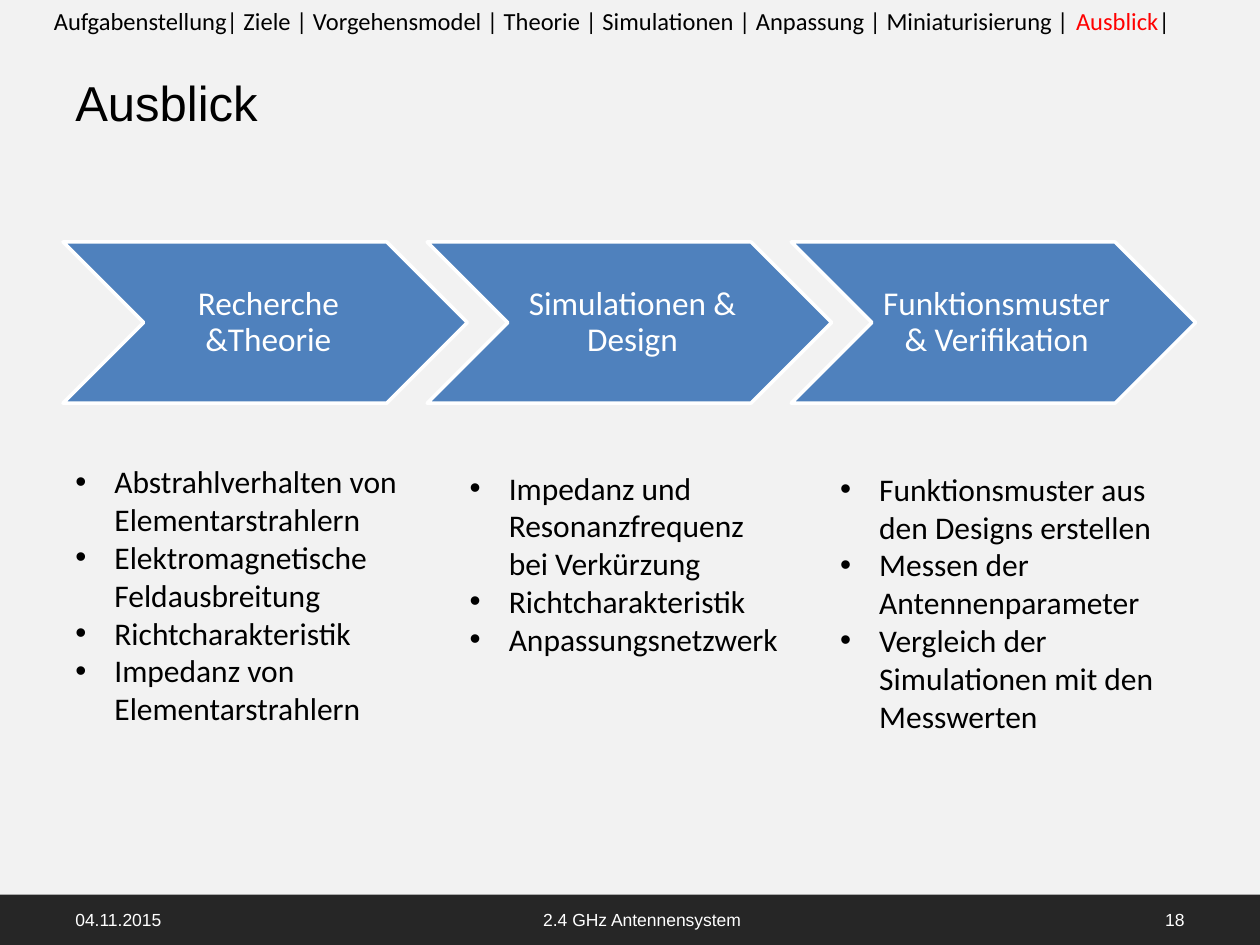
import pptx
import pptx.util
import pptx.dml.color
import pptx.enum.shapes
import pptx.enum.text
import lxml.etree

SHAPE = pptx.enum.shapes.MSO_SHAPE
ALIGN = pptx.enum.text.PP_ALIGN
ANCHOR = pptx.enum.text.MSO_ANCHOR
BLACK, WHITE, RED, BLUE = "000000", "FFFFFF", "FF0000", "4F81BD"
COLS, ROWS = 100, 75


def tint(code):
    return pptx.dml.color.RGBColor.from_string(code)


def bullet(para):
    prop = para._p.get_or_add_pPr()
    indent = pptx.util.Inches(0.31)
    prop.set("marL", str(indent))
    prop.set("indent", str(-indent))
    space = pptx.oxml.ns.qn("a:buFont")
    lxml.etree.SubElement(prop, space).set("typeface", "Arial")
    lxml.etree.SubElement(prop, pptx.oxml.ns.qn("a:buChar")).set("char", "•")


def write(frame, paras, size=18, font="Calibri", color=BLACK, align=ALIGN.LEFT,
          anchor=ANCHOR.TOP, space=None, dots=False, inset=None):
    frame.word_wrap = True
    frame.vertical_anchor = anchor
    if inset:
        (frame.margin_left, frame.margin_top, frame.margin_right,
         frame.margin_bottom) = map(pptx.util.Inches, inset)
    for count, runs in enumerate(paras):
        para = frame.add_paragraph() if count else frame.paragraphs[0]
        para.alignment = align
        if space:
            para.line_spacing = space
        if dots:
            bullet(para)
        for part in [runs] if isinstance(runs, str) else runs:
            words, shade = (part, color) if isinstance(part, str) else part
            for index, line in enumerate(words.split("\n")):
                if index:
                    para.add_line_break()
                run = para.add_run()
                run.text = line
                run.font.size = pptx.util.Pt(size)
                run.font.name = font
                run.font.color.rgb = tint(shade)


class Deck:
    def __init__(self):
        self.file = pptx.Presentation()
        self.file.slide_width = pptx.util.Inches(10)
        self.file.slide_height = pptx.util.Inches(7.5)
        self.slide = self.file.slides.add_slide(self.file.slide_layouts[6])
        back = self.slide.background.fill
        back.solid()
        back.fore_color.rgb = tint("F2F2F2")

    def place(self, col, row, wide, high):
        x = self.file.slide_width / COLS
        y = self.file.slide_height / ROWS
        return [round(v) for v in (col * x, row * y, wide * x, high * y)]

    def text(self, box, *paras, **style):
        shape = self.slide.shapes.add_textbox(*self.place(*box))
        write(shape.text_frame, paras, **style)

    def shape(self, kind, box, fill, line=None):
        shape = self.slide.shapes.add_shape(kind, *self.place(*box))
        shape.shadow.inherit = False
        shape.fill.solid()
        shape.fill.fore_color.rgb = tint(fill)
        if line:
            shape.line.color.rgb = tint(line)
            shape.line.width = pptx.util.Pt(2)
        else:
            shape.line.fill.background()
        return shape

    def step(self, box, label):
        shape = self.shape(SHAPE.CHEVRON, box, BLUE, WHITE)
        write(shape.text_frame, [label], size=19, color=WHITE,
              align=ALIGN.CENTER, anchor=ANCHOR.MIDDLE, space=0.9,
              inset=(0.08, 0.03, 0.03, 0.03))


def main():
    deck = Deck()
    deck.shape(SHAPE.RECTANGLE, (0, 71, 100, 4), "262626")
    deck.text((5, 5.2, 90, 5.8), "Ausblick", size=28, font="Arial",
              anchor=ANCHOR.MIDDLE)

    steps = ["Recherche &Theorie", "Simulationen & Design",
             "Funktionsmuster & Verifikation"]
    for index, label in enumerate(steps):
        deck.step((5 + 28.9 * index, 19.2, 32.1, 12.8), label)

    footer = [(5, 23.3, "04.11.2015", ALIGN.LEFT),
              (34.2, 33.5, "2.4 GHz Antennensystem", ALIGN.CENTER),
              (71.7, 23.3, "18", ALIGN.RIGHT)]
    for col, wide, label, align in footer:
        deck.text((col, 71, wide, 4), label, size=10, font="Arial",
                  color=WHITE, align=align, anchor=ANCHOR.MIDDLE)

    topics = ["Aufgabenstellung| Ziele | Vorgehensmodel | Theorie | "
              "Simulationen | Anpassung | Miniaturisierung | ",
              ("Ausblick", RED), "|"]
    deck.text((3.3, 0, 96.7, 3.4), topics, size=14)

    lists = [
        (5, 36.2, 22.2, ["Abstrahlverhalten von Elementarstrahlern",
                         "Elektromagnetische Feldausbreitung",
                         "Richtcharakteristik",
                         "Impedanz von Elementarstrahlern"]),
        (36.3, 36.7, 19.2, ["Impedanz und Resonanzfrequenz\nbei Verkürzung",
                            "Richtcharakteristik",
                            "Anpassungsnetzwerk"]),
        (65.7, 36.8, 22.2, ["Funktionsmuster aus den Designs erstellen",
                            "Messen der Antennenparameter",
                            "Vergleich der Simulationen mit den Messwerten"]),
    ]
    for col, row, high, items in lists:
        deck.text((col, row, 27.6, high), *items, dots=True)

    deck.file.save("out.pptx")


if __name__ == "__main__":
    main()
